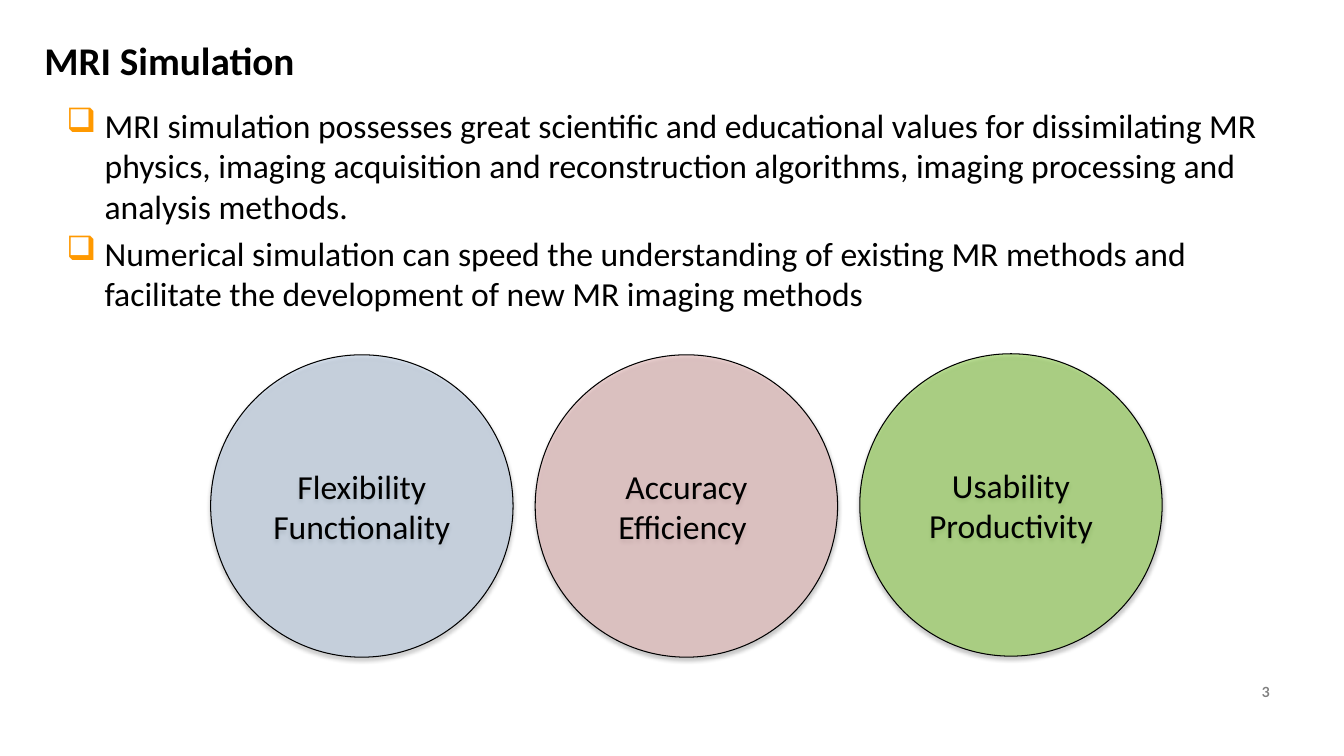
from dataclasses import dataclass

from pptx import Presentation
from pptx.dml.color import RGBColor
from pptx.enum.shapes import MSO_SHAPE
from pptx.enum.text import MSO_ANCHOR, MSO_AUTO_SIZE, PP_ALIGN
from pptx.oxml import parse_xml
from pptx.oxml.ns import nsdecls, qn
from pptx.shapes.autoshape import Shape
from pptx.slide import Slide
from pptx.text.text import TextFrame, _Paragraph
from pptx.util import Emu, Inches, Pt


@dataclass(frozen=True)
class Theme:
    font: str = "Calibri"
    number_font: str = "Lato"
    black: str = "000000"
    grey: str = "808080"
    orange: str = "FF9900"
    blue: str = "B9CDE5"
    pink: str = "E6B9B8"
    green: str = "92D050"
    title_size: float = 28
    body_size: float = 24
    number_size: float = 10


@dataclass(frozen=True)
class Area:
    """A place on the grid, in columns and rows."""
    column: float
    row: float
    columns: float
    rows: float


@dataclass(frozen=True)
class Circle:
    lines: tuple[str, ...]
    color: str
    opacity: int
    row: float


THEME = Theme()

# Grid: 80 columns by 45 rows of square cells
CELL = Inches(1) / 6
TITLE_AREA = Area(2.04, 1.86, 26.82, 3.42)
BODY_AREA = Area(3.36, 5.94, 74.52, 21.3)
NUMBER_AREA = Area(19.8, 40.68, 55.8, 1.02)
FIRST_CIRCLE_COLUMN = 12.54
CIRCLE_PITCH = 19.32
CIRCLE_DIAMETER = 18

BULLETS = (
    "MRI simulation possesses great scientific and educational values for dissimilating MR physics, "
    "imaging acquisition and reconstruction algorithms, imaging processing and analysis methods.",
    "Numerical simulation can speed the understanding of existing MR methods and facilitate "
    "the development of new MR imaging methods",
)
CIRCLES = (
    Circle(("Flexibility", "Functionality"), THEME.blue, 50, 21.12),
    Circle(("Accuracy Efficiency ",), THEME.pink, 59, 21.12),
    Circle(("Usability", "Productivity"), THEME.green, 59, 21.06),
)


def cells(count: float) -> Emu:
    return Emu(round(count * CELL))


def bounds(area: Area) -> tuple[Emu, Emu, Emu, Emu]:
    return cells(area.column), cells(area.row), cells(area.columns), cells(area.rows)


def add_run(paragraph: _Paragraph, text: str, size: float, color: str = THEME.black,
            font: str = THEME.font, bold: bool = False) -> None:
    run = paragraph.add_run()
    run.text = text
    run.font.name = font
    run.font.size = Pt(size)
    run.font.bold = bold
    run.font.color.rgb = RGBColor.from_string(color)


def next_paragraph(frame: TextFrame, index: int) -> _Paragraph:
    return frame.add_paragraph() if index else frame.paragraphs[0]


def add_title(slide: Slide, text: str) -> None:
    title = slide.shapes.title
    title.left, title.top, title.width, title.height = bounds(TITLE_AREA)
    frame = title.text_frame
    frame.auto_size = MSO_AUTO_SIZE.NONE
    frame.vertical_anchor = MSO_ANCHOR.TOP
    paragraph = frame.paragraphs[0]
    paragraph.alignment = PP_ALIGN.LEFT
    add_run(paragraph, text, THEME.title_size, bold=True)


def add_bullet(paragraph: _Paragraph) -> None:
    properties = paragraph._p.get_or_add_pPr()
    properties.set("marL", str(Inches(0.38)))
    properties.set("indent", str(-Inches(0.38)))
    properties.append(parse_xml(
        f'<a:buClr {nsdecls("a")}><a:srgbClr val="{THEME.orange}"/></a:buClr>'))
    properties.append(parse_xml(f'<a:buChar {nsdecls("a")} char="❑"/>'))


def add_body(slide: Slide) -> None:
    frame = slide.shapes.add_textbox(*bounds(BODY_AREA)).text_frame
    frame.word_wrap = True
    for index, text in enumerate(BULLETS):
        paragraph = next_paragraph(frame, index)
        add_bullet(paragraph)
        if index:
            paragraph.space_before = Pt(0.2 * THEME.body_size)
        add_run(paragraph, text, THEME.body_size)


def add_shadow(shape: Shape) -> None:
    shape.shadow.inherit = False
    effects = shape.element.spPr.find(qn("a:effectLst"))
    effects.append(parse_xml(
        f'<a:outerShdw {nsdecls("a")} blurRad="{Pt(3.1)}" dist="{Pt(1.8)}" dir="5400000" '
        f'rotWithShape="0"><a:srgbClr val="{THEME.black}"><a:alpha val="35000"/>'
        '</a:srgbClr></a:outerShdw>'))


def add_circle(slide: Slide, circle: Circle, index: int) -> None:
    area = Area(FIRST_CIRCLE_COLUMN + index * CIRCLE_PITCH, circle.row,
                CIRCLE_DIAMETER, CIRCLE_DIAMETER)
    shape = slide.shapes.add_shape(MSO_SHAPE.OVAL, *bounds(area))
    shape.fill.solid()
    shape.fill.fore_color.rgb = RGBColor.from_string(circle.color)
    fill_color = shape.element.spPr.find(f'{qn("a:solidFill")}/{qn("a:srgbClr")}')
    fill_color.append(parse_xml(f'<a:alpha {nsdecls("a")} val="{circle.opacity * 1000}"/>'))
    shape.line.color.rgb = RGBColor.from_string(THEME.black)
    shape.line.width = Pt(0.75)
    add_shadow(shape)
    frame = shape.text_frame
    frame.word_wrap = True
    frame.vertical_anchor = MSO_ANCHOR.MIDDLE
    for line_index, line in enumerate(circle.lines):
        paragraph = next_paragraph(frame, line_index)
        paragraph.alignment = PP_ALIGN.CENTER
        add_run(paragraph, line, THEME.body_size)


def add_number(slide: Slide, number: str) -> None:
    frame = slide.shapes.add_textbox(*bounds(NUMBER_AREA)).text_frame
    frame.word_wrap = True
    frame.margin_left = frame.margin_right = frame.margin_top = frame.margin_bottom = 0
    paragraph = frame.paragraphs[0]
    paragraph.alignment = PP_ALIGN.RIGHT
    add_run(paragraph, number, THEME.number_size, THEME.grey, THEME.number_font, bold=True)


def main() -> None:
    presentation = Presentation()
    presentation.slide_width = cells(80)
    presentation.slide_height = cells(45)
    slide = presentation.slides.add_slide(presentation.slide_layouts[5])

    # Heading and bullets
    add_title(slide, "MRI Simulation")
    add_body(slide)

    # Row of circles
    for index, circle in enumerate(CIRCLES):
        add_circle(slide, circle, index)

    # Slide number
    add_number(slide, "3")
    presentation.save("out.pptx")


if __name__ == "__main__":
    main()
